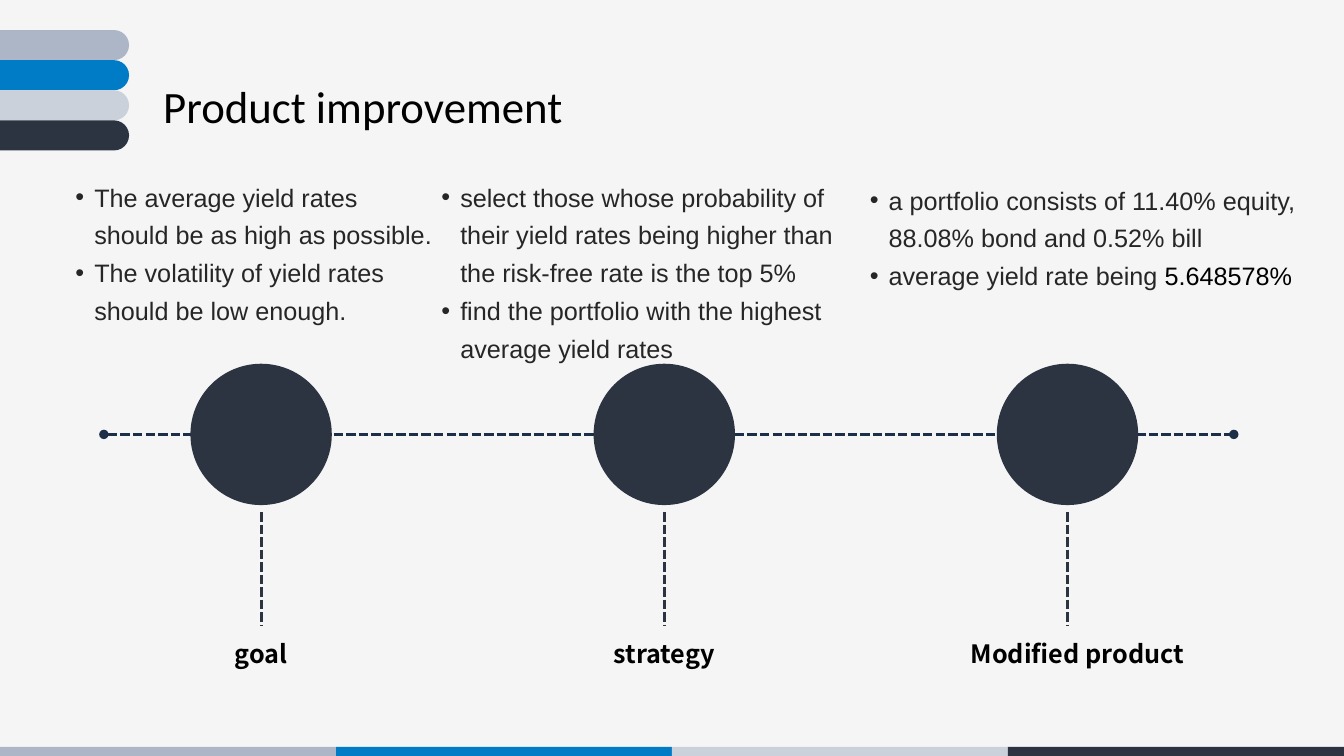
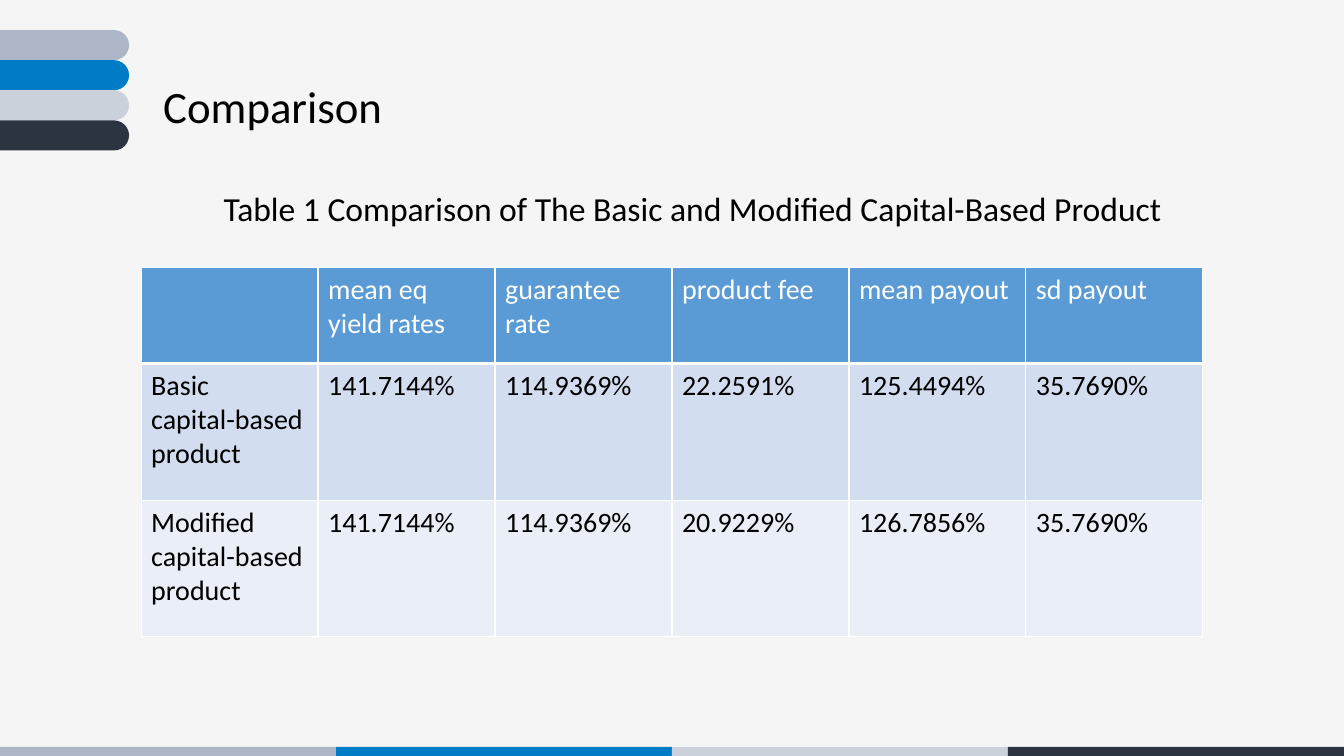
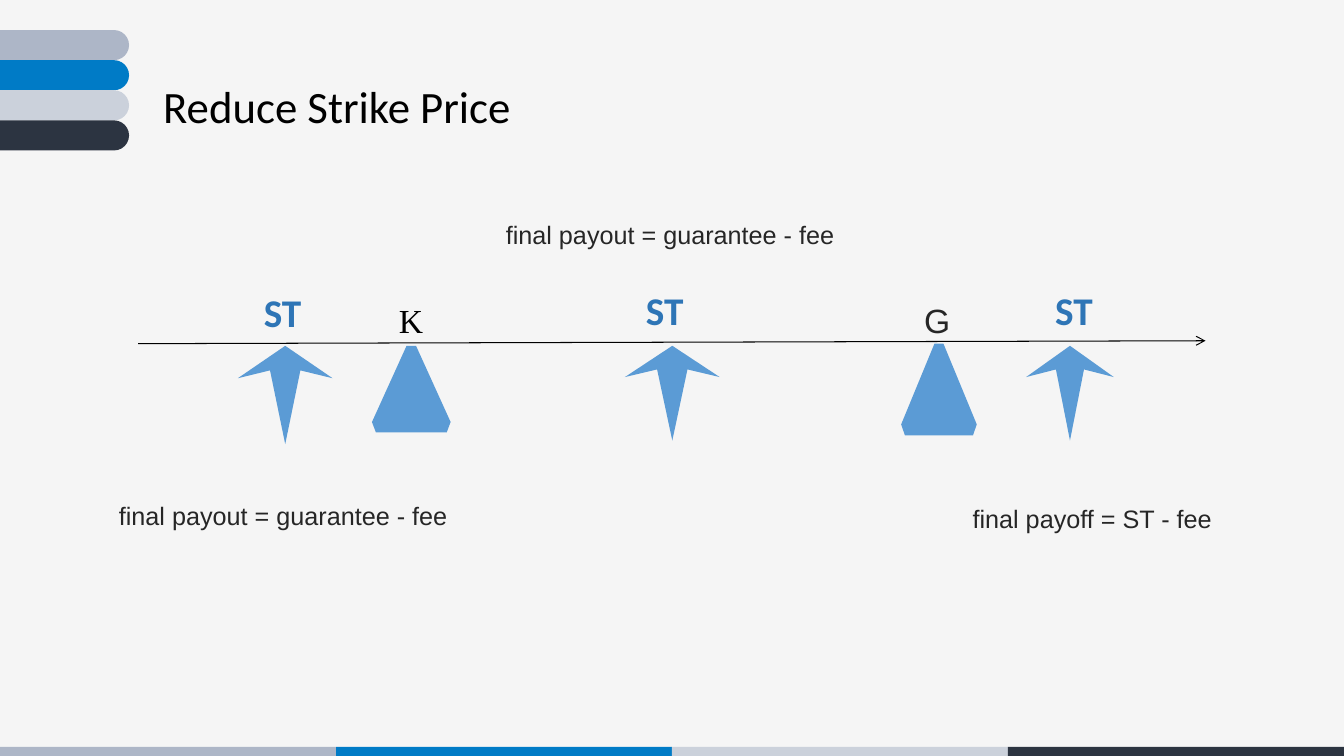
from dataclasses import dataclass

from lxml import etree
from pptx import Presentation, util as u
from pptx.dml.color import RGBColor
from pptx.enum import dml, shapes, text
from pptx.oxml.ns import qn


@dataclass(frozen=True)
class Theme:
    background: str = "F5F5F5"
    bands: tuple = ("ADB6C7", "007BC6", "CBD1DB", "2C3441")
    dark: str = "2C3441"
    navy: str = "1C2E48"
    accent: str = "5B9BD5"
    label: str = "2E75B6"
    body: str = "262626"
    black: str = "000000"
    white: str = "FFFFFF"
    table_rows: tuple = ("5B9BD5", "D2DEEF", "EAEFF7")
    heading_font: str = "Calibri"
    body_font: str = "Arial"
    stage_font: str = "Noto Sans CJK SC"
    symbol_font: str = "Times New Roman"
    title_size: int = 32
    price_size: int = 28
    caption_size: int = 24
    table_size: int = 20
    body_size: int = 18


theme = Theme()


def write(frame, *paragraphs, size=theme.body_size, font=theme.body_font, color=theme.body,
          bold=False, align=text.PP_ALIGN.LEFT, spacing=1.0, bullet=None):
    """Fill a text frame; in a tuple paragraph, runs after the first are black."""
    frame.word_wrap = True
    for index, content in enumerate(paragraphs):
        paragraph = frame.add_paragraph() if index else frame.paragraphs[0]
        paragraph.alignment = align
        paragraph.line_spacing = spacing
        if bullet:
            properties = paragraph._p.get_or_add_pPr()
            properties.set("marL", str(u.Pt(13.5)))
            properties.set("indent", str(u.Pt(-13.5)))
            etree.SubElement(properties, qn("a:buFont"), typeface=theme.body_font)
            etree.SubElement(properties, qn("a:buChar"), char=bullet)
        parts = content if isinstance(content, tuple) else (content,)
        for position, part in enumerate(parts):
            run = paragraph.add_run()
            run.text = part
            run.font.size = u.Pt(size)
            run.font.name = font
            run.font.bold = bold
            run.font.color.rgb = RGBColor.from_string(theme.black if position else color)


def paint(shape, color):
    shape.shadow.inherit = False
    shape.fill.solid()
    shape.fill.fore_color.rgb = RGBColor.from_string(color)
    shape.line.fill.background()


prs = Presentation()
prs.slide_width, prs.slide_height = u.Pt(960), u.Pt(540)
backdrop = prs.slide_master.background.fill
backdrop.solid()
backdrop.fore_color.rgb = RGBColor.from_string(theme.background)
layout = prs.slide_layouts[5]

# Titles
slides = []
for heading in ("Product improvement", "Comparison", "Reduce Strike Price"):
    slide = prs.slides.add_slide(layout)
    title = slide.shapes.title
    title.left, title.top, title.width, title.height = map(u.Pt, (109.4, 52.6, 600, 46))
    title.text_frame.auto_size = text.MSO_AUTO_SIZE.NONE
    write(title.text_frame, heading, size=theme.title_size, font=theme.heading_font,
          color=theme.black)
    slides.append(slide)
improvement, comparison, strike = slides

# Corner tabs and footer bands, shared through the layout
for index, color in enumerate(theme.bands):
    for offset, kind, box in (
        (100, shapes.MSO_SHAPE.RECTANGLE, (240 * index, 533.5, 240, 6.5)),
        (200, shapes.MSO_SHAPE.ROUNDED_RECTANGLE, (-44.6, 21.5 + 21.5 * index, 136.8, 21.5)),
    ):
        band = improvement.shapes.add_shape(kind, *map(u.Pt, box))
        paint(band, color)
        if kind == shapes.MSO_SHAPE.ROUNDED_RECTANGLE:
            band.adjustments[0] = 0.5
        band.element.nvSpPr.cNvPr.set("id", str(offset + index))
        layout.shapes.element.append(band.element)

# Timeline, stems and price axis
stage_centers = [186.5 + 288 * step for step in range(3)]
dash = dml.MSO_LINE.SQUARE_DOT
lines = [(improvement, (74.2, 310.3, 881.3, 310.3), theme.navy, 2.25, dash, "oval", "oval")]
lines += [(improvement, (center, 365.8, center, 447.1), theme.dark, 2.25, dash, None, None)
          for center in stage_centers]
lines.append((strike, (98.6, 245.5, 861.1, 243.4), theme.black, 0.75, None, None, "arrow"))
for slide, ends, color, width, style, head, tail in lines:
    rule = slide.shapes.add_connector(shapes.MSO_CONNECTOR.STRAIGHT, *map(u.Pt, ends))
    rule.line.color.rgb = RGBColor.from_string(color)
    rule.line.width = u.Pt(width)
    rule.line.dash_style = style
    outline = rule.line._get_or_add_ln()
    for tag, arrowhead in (("a:headEnd", head), ("a:tailEnd", tail)):
        if arrowhead:
            etree.SubElement(outline, qn(tag), type=arrowhead)
    etree.SubElement(rule.element.spPr, qn("a:effectLst"))

# Product improvement: three stages
stages = (
    ("goal", 0, (46.8, 121, 271.4, 116),
     ("The average yield rates should be as high as possible.",
      "The volatility of yield rates should be low enough.")),
    ("strategy", 0, (308.2, 121, 297.4, 143),
     ("select those whose probability of their yield rates being higher than "
      "the risk-free rate is the top 5%",
      "find the portfolio with the highest average yield rates")),
    ("Modified product", 7, (614.2, 123.1, 340, 89),
     ("a portfolio consists of 11.40% equity, 88.08% bond and 0.52% bill",
      ("average yield rate being ", "5.648578%"))),
)
for center, (stage, shift, box, points) in zip(stage_centers, stages):
    circle = improvement.shapes.add_shape(
        shapes.MSO_SHAPE.OVAL, *map(u.Pt, (center - 50.5, 259.8, 101, 101)))
    paint(circle, theme.dark)
    name = improvement.shapes.add_textbox(*map(u.Pt, (center + shift - 100, 452.2, 200, 29)))
    write(name.text_frame, stage, font=theme.stage_font, color=theme.black, bold=True,
          align=text.PP_ALIGN.CENTER)
    details = improvement.shapes.add_textbox(*map(u.Pt, box))
    write(details.text_frame, *points, spacing=1.25, bullet="•")

# Comparison table
caption = comparison.shapes.add_textbox(*map(u.Pt, (152.6, 131, 700, 36)))
write(caption.text_frame, "Table 1 Comparison of The Basic and Modified Capital-Based Product",
      size=theme.caption_size, font=theme.heading_font, color=theme.black)
products = (
    ("", "mean eq yield rates", "guarantee rate", "product fee", "mean payout", "sd payout"),
    ("Basic\ncapital-based product", "141.7144%", "114.9369%", "22.2591%", "125.4494%",
     "35.7690%"),
    ("Modified capital-based product", "141.7144%", "114.9369%", "20.9229%", "126.7856%",
     "35.7690%"),
)
table = comparison.shapes.add_table(3, 6, *map(u.Pt, (100.8, 191.2, 758.4, 263.5))).table
table.first_row = table.horz_banding = False
for column in table.columns:
    column.width = u.Pt(126.4)
for row, height in zip(table.rows, (68.5, 97.8, 97.2)):
    row.height = u.Pt(height)
for r, values in enumerate(products):
    for c, value in enumerate(values):
        cell = table.cell(r, c)
        for side in "LRTB":
            thick = (r, side) in ((0, "B"), (1, "T"))
            border = etree.SubElement(cell._tc.get_or_add_tcPr(), qn("a:ln" + side),
                                      w=str(u.Pt(3 if thick else 1)))
            ink = etree.SubElement(border, qn("a:solidFill"))
            etree.SubElement(ink, qn("a:srgbClr"), val=theme.white)
        cell.fill.solid()
        cell.fill.fore_color.rgb = RGBColor.from_string(theme.table_rows[r])
        if value:
            write(cell.text_frame, *value.split("\n"), size=theme.table_size,
                  font=theme.heading_font, color=theme.black if r else theme.white)

# Strike price: markers under the axis, as fractions of their boxes
pedestal = ((0.44, 0), (0.56, 0), (1, 0.88), (0.95, 1), (0.05, 1), (0, 0.88))
arrow = ((0, 0.33), (0.5, 0), (1, 0.33), (0.66, 0.25), (0.5, 1), (0.34, 0.25))
markers = (
    (pedestal, 643.7, 245.5, 54, 65.5),
    (pedestal, 265.7, 247, 56.2, 61.9),
    (arrow, 446.4, 247, 67.7, 67.7),
    (arrow, 169.9, 247, 67.7, 70.2),
    (arrow, 733, 247, 62.6, 67.7),
)
for outline, left, top, width, height in markers:
    corners = [(u.Pt(left + x * width), u.Pt(top + y * height)) for x, y in outline]
    builder = strike.shapes.build_freeform(*corners[0])
    builder.add_line_segments(corners[1:], close=True)
    paint(builder.convert_to_shape(), theme.accent)

price = dict(size=theme.price_size, font=theme.heading_font, color=theme.label, bold=True)
formula = dict(spacing=1.5)
axis_labels = (
    ("G", (653, 196.6, 60, 51), dict(size=theme.caption_size, spacing=1.5)),
    ("K", (277.9, 211, 60, 36),
     dict(size=theme.caption_size, font=theme.symbol_font, color=theme.black)),
    ("ST", (181.4, 202.3, 60, 41), price),
    ("ST", (454.3, 200.9, 60, 41), price),
    ("ST", (746.6, 200.9, 60, 41), price),
    ("final payoff = ST - fee", (687.6, 344.9, 220, 36), formula),
    ("final payout = guarantee - fee", (77.8, 343.4, 270, 36), formula),
    ("final payout = guarantee - fee", (354.2, 142.6, 270, 36), formula),
)
for words, box, style in axis_labels:
    label = strike.shapes.add_textbox(*map(u.Pt, box))
    write(label.text_frame, words, **style)

prs.save("out.pptx")
